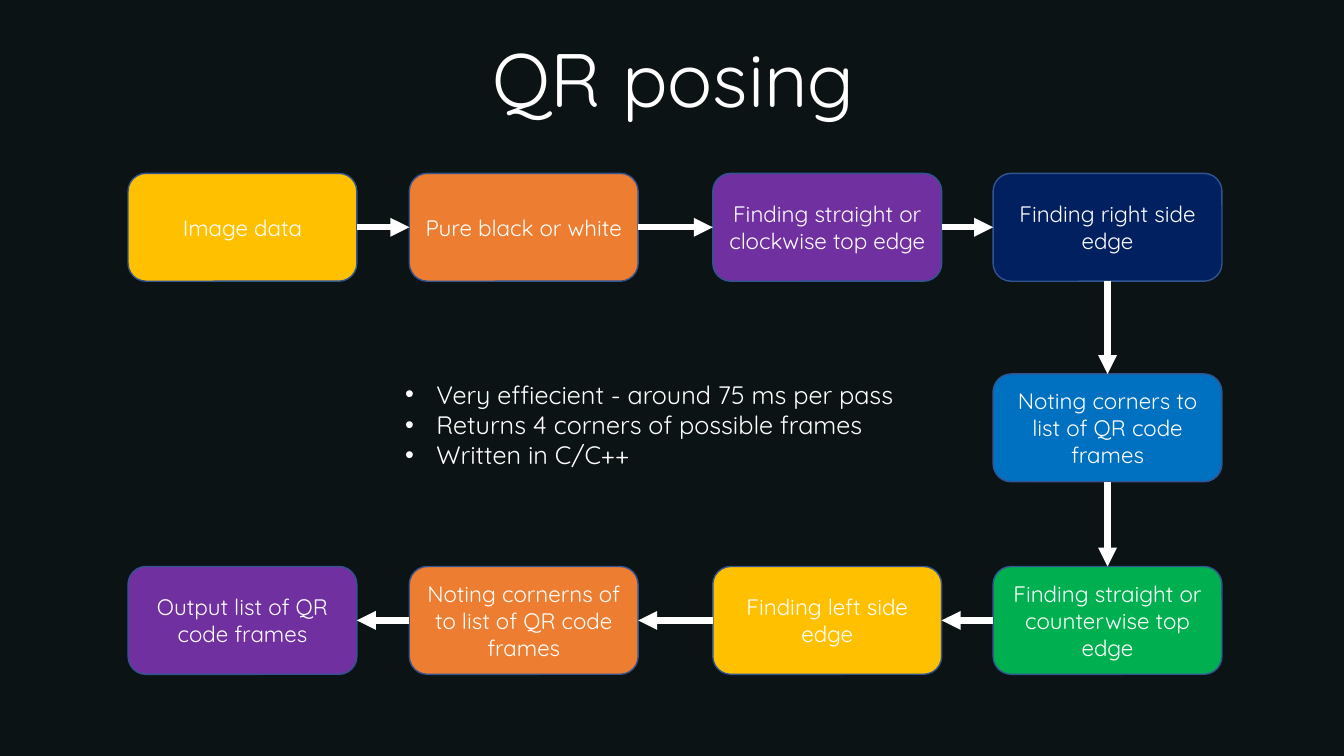
from lxml import etree
from pptx import Presentation
from pptx import util as u
from pptx.dml.color import RGBColor
from pptx.enum import shapes, text
from pptx.oxml import ns

PX = 9144  # EMU per px, 100 px to the inch
FONT = "Quicksand"
COLORS = {
    "background": "0B1314", "white": "FFFFFF", "outline": "325491",
    "yellow": "FFC000", "orange": "ED7D31", "purple": "7030A0",
    "navy": "002060", "blue": "0070C0", "green": "00B050",
}
BOX_WIDTH, BOX_HEIGHT = 227, 107
COLUMNS = (127, 406, 707, 985)
ROWS = (172, 371, 562)
TOP, LEFT, BOTTOM, RIGHT = range(4)

# Label, fill, column, row, and the sides where its arrow leaves and arrives
STEPS = [
    ("Image data", "yellow", 0, 0, RIGHT, LEFT),
    ("Pure black or white", "orange", 1, 0, RIGHT, LEFT),
    ("Finding straight or clockwise top edge", "purple", 2, 0, RIGHT, LEFT),
    ("Finding right side edge", "navy", 3, 0, BOTTOM, TOP),
    ("Noting corners to list of QR code frames", "blue", 3, 1, BOTTOM, TOP),
    ("Finding straight or counterwise top edge", "green", 3, 2, LEFT, RIGHT),
    ("Finding left side edge", "yellow", 2, 2, LEFT, RIGHT),
    ("Noting cornerns of to list of QR code frames", "orange", 1, 2, LEFT, RIGHT),
    ("Output list of QR code frames", "purple", 0, 2, None, None),
]
FACTS = [
    "Very effiecient - around 75 ms per pass",
    "Returns 4 corners of possible frames",
    "Written in C/C++",
]


def color(name):
    return RGBColor.from_string(COLORS[name])


def add_bullet(para, indent):
    props = para._p.get_or_add_pPr()
    props.set("marL", str(indent * PX))
    props.set("indent", str(-indent * PX))
    etree.SubElement(props, ns.qn("a:buFont")).set("typeface", "Arial")
    etree.SubElement(props, ns.qn("a:buChar")).set("char", "•")


def write(frame, lines, size, align=text.PP_ALIGN.LEFT,
          anchor=text.MSO_ANCHOR.TOP, spacing=None, bullet_indent=None):
    """Fill a text frame with one paragraph per line."""
    frame.word_wrap = True
    frame.vertical_anchor = anchor
    for index, line in enumerate(lines):
        para = frame.add_paragraph() if index else frame.paragraphs[0]
        para.alignment = align
        if spacing:
            para.line_spacing = spacing
        if bullet_indent:
            add_bullet(para, bullet_indent)
        span = para.add_run()
        span.text = line
        span.font.name = FONT
        span.font.size = u.Pt(size)
        span.font.color.rgb = color("white")


class Painter:
    def __init__(self, deck):
        self.page = deck.slides.add_slide(deck.slide_layouts[6])
        fill = self.page.background.fill
        fill.solid()
        fill.fore_color.rgb = color("background")

    def label(self, left, top, width, height, lines, size, **style):
        box = self.page.shapes.add_textbox(
            left * PX, top * PX, width * PX, height * PX)
        write(box.text_frame, lines, size, **style)

    def step(self, left, top, label, fill):
        box = self.page.shapes.add_shape(
            shapes.MSO_SHAPE.ROUNDED_RECTANGLE,
            left * PX, top * PX, BOX_WIDTH * PX, BOX_HEIGHT * PX)
        box.shadow.inherit = False
        box.fill.solid()
        box.fill.fore_color.rgb = color(fill)
        box.line.color.rgb = color("outline")
        box.line.width = u.Pt(1)
        write(box.text_frame, [label], 16, align=text.PP_ALIGN.CENTER,
              anchor=text.MSO_ANCHOR.MIDDLE)
        return box

    def arrow(self, start, start_side, end, end_side):
        link = self.page.shapes.add_connector(
            shapes.MSO_CONNECTOR.STRAIGHT, 0, 0, 0, 0)
        link.begin_connect(start, start_side)
        link.end_connect(end, end_side)
        link.line.color.rgb = color("white")
        link.line.width = u.Pt(4.5)
        line = link.line._get_or_add_ln()
        etree.SubElement(line, ns.qn("a:tailEnd")).set("type", "triangle")
        etree.SubElement(link._element.spPr, ns.qn("a:effectLst"))


def main():
    deck = Presentation()
    deck.slide_width, deck.slide_height = u.Inches(13.33), u.Inches(7.5)
    painter = Painter(deck)

    # Title and facts
    painter.label(35, 37, 1266, 79, ["QR posing"], 54,
                  align=text.PP_ALIGN.CENTER, spacing=0.9)
    painter.label(392, 371, 686, 101, FACTS, 18, bullet_indent=31)

    # Process steps
    boxes = [painter.step(COLUMNS[column], ROWS[row], label, fill)
             for label, fill, column, row, _, _ in STEPS]

    # Arrows from each step to the next
    for step, start, end in zip(STEPS, boxes, boxes[1:]):
        painter.arrow(start, step[4], end, step[5])

    deck.save("out.pptx")


if __name__ == "__main__":
    main()
